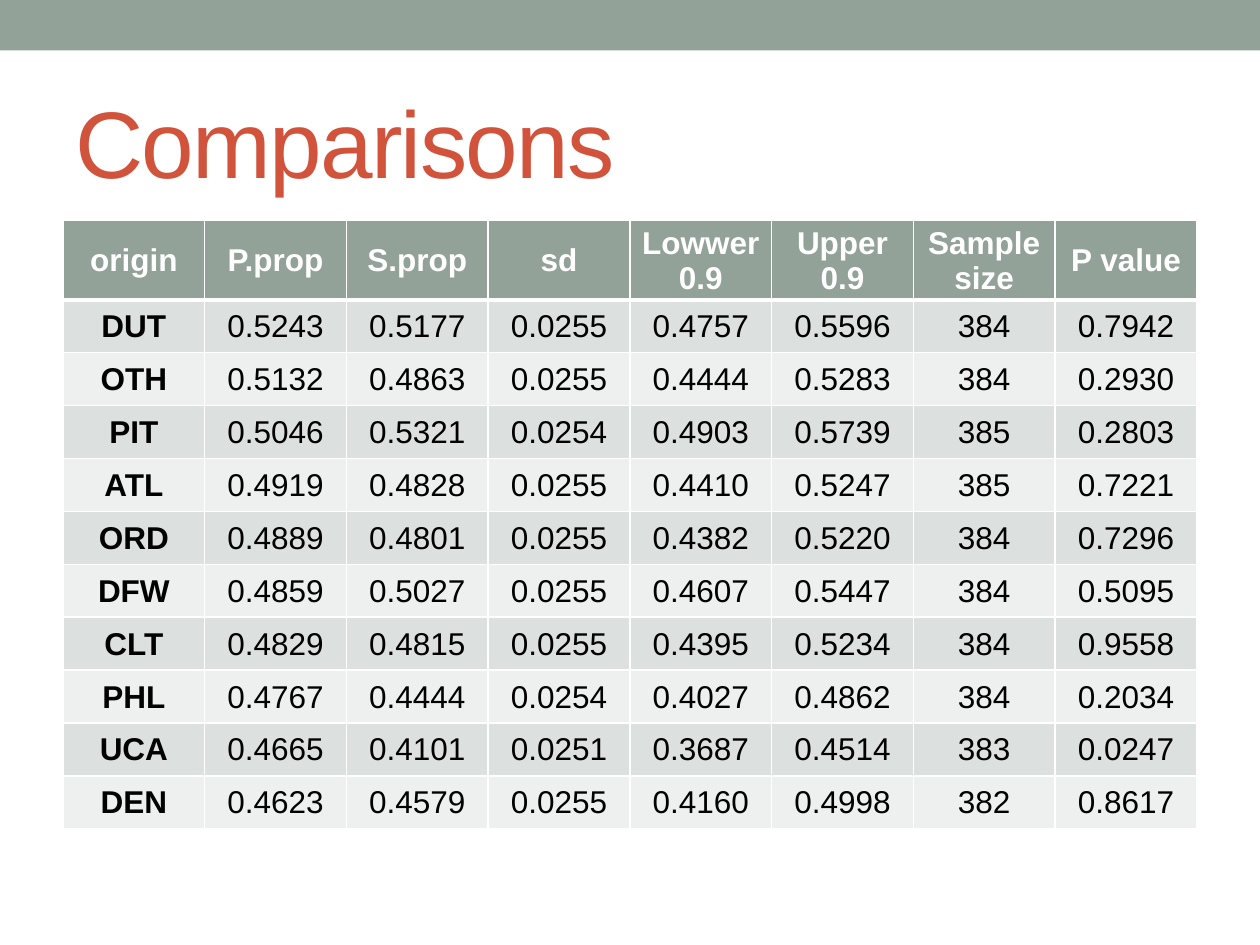
import dataclasses

import pptx
import pptx.dml.color
import pptx.enum.shapes
import pptx.enum.text
import pptx.oxml.ns
import pptx.util
from lxml import etree

Inches = pptx.util.Inches


@dataclasses.dataclass(frozen=True)
class Theme:
    """Colours, font and type sizes of the slide."""
    font: str = "Arial"
    sage: str = "93A299"
    red: str = "D2533C"
    white: str = "FFFFFF"
    black: str = "000000"
    bands: tuple = ("DCE0DE", "EEF0EF")
    title_size: int = 54
    table_size: int = 18
    thin_rule: int = 1
    thick_rule: int = 3


THEME = Theme()

HEADINGS = ("origin", "P.prop", "S.prop", "sd", "Lowwer 0.9", "Upper 0.9",
            "Sample size", "P value")
AIRPORTS = (
    ("DUT", "0.5243", "0.5177", "0.0255", "0.4757", "0.5596", "384", "0.7942"),
    ("OTH", "0.5132", "0.4863", "0.0255", "0.4444", "0.5283", "384", "0.2930"),
    ("PIT", "0.5046", "0.5321", "0.0254", "0.4903", "0.5739", "385", "0.2803"),
    ("ATL", "0.4919", "0.4828", "0.0255", "0.4410", "0.5247", "385", "0.7221"),
    ("ORD", "0.4889", "0.4801", "0.0255", "0.4382", "0.5220", "384", "0.7296"),
    ("DFW", "0.4859", "0.5027", "0.0255", "0.4607", "0.5447", "384", "0.5095"),
    ("CLT", "0.4829", "0.4815", "0.0255", "0.4395", "0.5234", "384", "0.9558"),
    ("PHL", "0.4767", "0.4444", "0.0254", "0.4027", "0.4862", "384", "0.2034"),
    ("UCA", "0.4665", "0.4101", "0.0251", "0.3687", "0.4514", "383", "0.0247"),
    ("DEN", "0.4623", "0.4579", "0.0255", "0.4160", "0.4998", "382", "0.8617"),
)


def rgb(value):
    """Turn a hex string into a colour."""
    return pptx.dml.color.RGBColor.from_string(value)


def add_span(para, text, size, color, bold=False):
    """Add one formatted run to a paragraph."""
    span = para.add_run()
    span.text = text
    span.font.name = THEME.font
    span.font.size = pptx.util.Pt(size)
    span.font.bold = bold
    span.font.color.rgb = rgb(color)
    return span


def add_band(page, width, height):
    """Draw the plain band along the top edge."""
    band = page.shapes.add_shape(
        pptx.enum.shapes.MSO_SHAPE.RECTANGLE, 0, 0, width, height)
    band.shadow.inherit = False
    band.fill.solid()
    band.fill.fore_color.rgb = rgb(THEME.sage)
    band.line.fill.background()


def add_title(page, text, left, top, width, height):
    """Add the slightly tightened slide title."""
    box = page.shapes.add_textbox(left, top, width, height)
    frame = box.text_frame
    frame.word_wrap = True
    frame.vertical_anchor = pptx.enum.text.MSO_ANCHOR.MIDDLE
    span = add_span(frame.paragraphs[0], text, THEME.title_size, THEME.red)
    span.font._element.set("spc", "-100")


def set_borders(cell, top, bottom):
    """Rule all four sides of a cell in white; widths are in points."""
    properties = cell._tc.get_or_add_tcPr()
    widths = {"a:lnL": THEME.thin_rule, "a:lnR": THEME.thin_rule,
              "a:lnT": top, "a:lnB": bottom}
    for index, (tag, width) in enumerate(widths.items()):
        line = etree.Element(pptx.oxml.ns.qn(tag), w=str(pptx.util.Pt(width)))
        fill = etree.SubElement(line, pptx.oxml.ns.qn("a:solidFill"))
        etree.SubElement(fill, pptx.oxml.ns.qn("a:srgbClr"), val=THEME.white)
        properties.insert(index, line)


def fill_cell(cell, text, fill, color, bold):
    """Set the fill and the centred text of a cell."""
    cell.fill.solid()
    cell.fill.fore_color.rgb = rgb(fill)
    cell.vertical_anchor = pptx.enum.text.MSO_ANCHOR.MIDDLE
    para = cell.text_frame.paragraphs[0]
    para.alignment = pptx.enum.text.PP_ALIGN.CENTER
    add_span(para, text, THEME.table_size, color, bold)


def add_comparison_table(page, left, top, width, head_height, row_height):
    """Add the table with a header row and banded body rows."""
    rows = (HEADINGS,) + AIRPORTS
    height = head_height + row_height * len(AIRPORTS)
    table = page.shapes.add_table(
        len(rows), len(HEADINGS), left, top, width, height).table
    for column in table.columns:
        column.width = width // len(HEADINGS)
    for row_index, values in enumerate(rows):
        is_head = row_index == 0
        table.rows[row_index].height = head_height if is_head else row_height
        fill = THEME.sage if is_head else THEME.bands[(row_index - 1) % 2]
        color = THEME.white if is_head else THEME.black
        rule_above = THEME.thick_rule if row_index == 1 else THEME.thin_rule
        rule_below = THEME.thick_rule if is_head else THEME.thin_rule
        for column_index, text in enumerate(values):
            cell = table.cell(row_index, column_index)
            fill_cell(cell, text, fill, color, is_head or column_index == 0)
            set_borders(cell, rule_above, rule_below)
            if row_index or column_index:
                cell.margin_left = cell.margin_right = Inches(0.01)
                cell.margin_top, cell.margin_bottom = Inches(0.01), 0


def main():
    """Build the slide and save it."""
    deck = pptx.Presentation()
    deck.slide_width, deck.slide_height = Inches(10), Inches(7.5)
    page = deck.slides.add_slide(deck.slide_layouts[6])
    add_band(page, deck.slide_width, Inches(0.4))
    add_title(page, "Comparisons",
              Inches(0.5), Inches(0.58), Inches(9), Inches(1.08))
    add_comparison_table(page, Inches(0.5), Inches(1.75), Inches(9),
                         Inches(0.63), Inches(0.42))
    deck.save("out.pptx")


main()
